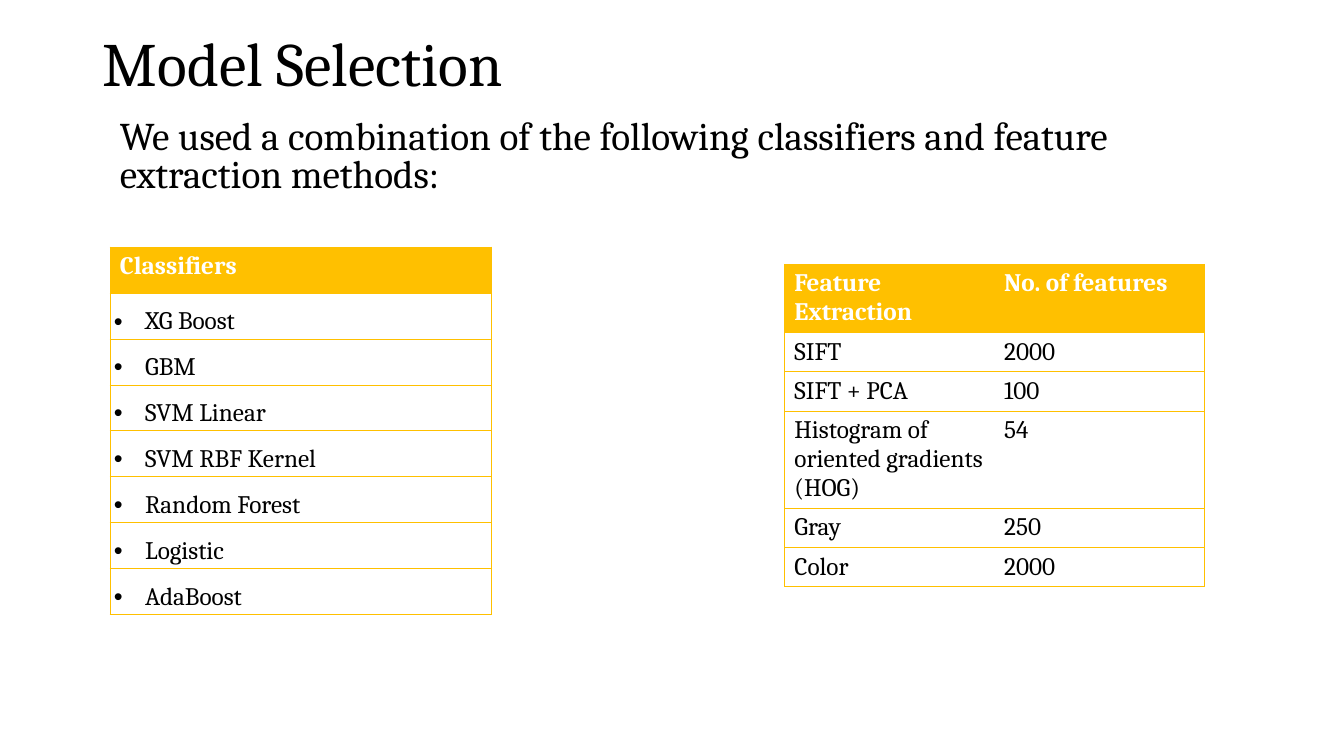
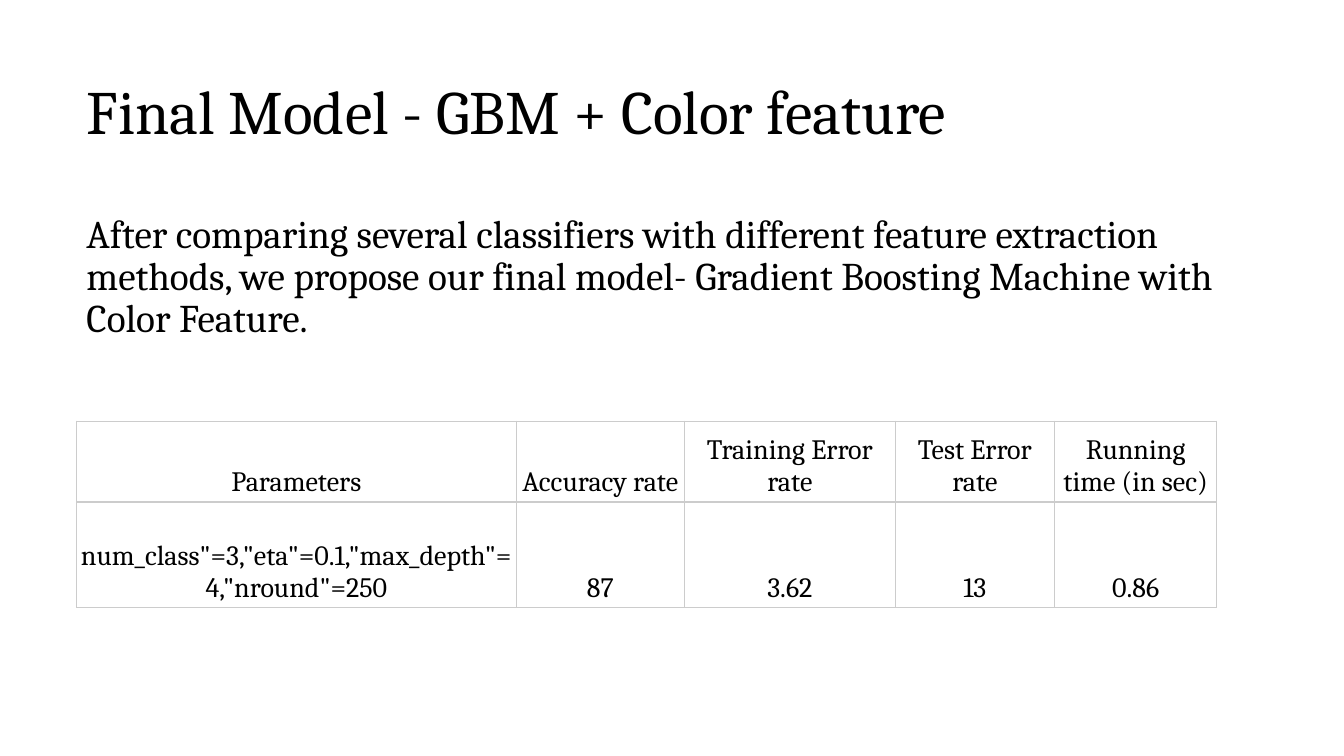
from lxml.etree import SubElement
from pptx import Presentation
from pptx.dml.color import RGBColor
from pptx.enum.text import MSO_ANCHOR, MSO_AUTO_SIZE, PP_ALIGN
from pptx.oxml.ns import qn
from pptx.util import Inches, Pt

COLORS = {"ink": "000000", "white": "FFFFFF", "gold": "FFC000", "grid": "CCCCCC"}
FONT = "Cambria"
SIDES = "LRTB"


class DeckBuilder:
    """Holds the shared style and the page being filled."""

    def __init__(self):
        self.deck = Presentation()
        self.deck.slide_width = Inches(13.33)
        self.deck.slide_height = Inches(7.5)
        self.page = None

    def color(self, name):
        return RGBColor.from_string(COLORS[name])

    def style(self, para, size, color="ink", bold=False, align=PP_ALIGN.LEFT):
        para.alignment = align
        para.font.name = FONT
        para.font.size = Pt(size)
        para.font.bold = bold
        para.font.color.rgb = self.color(color)

    def fill_frame(self, frame, text, size, anchor, spacing):
        frame.word_wrap = True
        frame.auto_size = MSO_AUTO_SIZE.NONE
        frame.vertical_anchor = anchor
        frame.text = text
        para = frame.paragraphs[0]
        para.line_spacing = spacing
        self.style(para, size)

    def add_page(self, title, left, top, width, height):
        self.page = self.deck.slides.add_slide(self.deck.slide_layouts[5])
        box = self.page.shapes.title
        box.left, box.top = Inches(left), Inches(top)
        box.width, box.height = Inches(width), Inches(height)
        self.fill_frame(box.text_frame, title, 44, MSO_ANCHOR.MIDDLE, 0.9)

    def add_text(self, text, left, top, width, height,
                 anchor=MSO_ANCHOR.TOP, spacing=0.9):
        box = self.page.shapes.add_textbox(
            Inches(left), Inches(top), Inches(width), Inches(height))
        self.fill_frame(box.text_frame, text, 28, anchor, spacing)

    def add_table(self, rows, left, top, widths, heights, size, line, line_width,
                  header=None, tight_from=None, bullets=False,
                  align=PP_ALIGN.LEFT, column_lines=True):
        """Rows from tight_from on have small margins and bottom-anchored text."""
        frame = self.page.shapes.add_table(
            len(rows), len(widths), Inches(left), Inches(top),
            Inches(sum(widths)), Inches(sum(heights)))
        table = frame.table
        table.first_row = table.horz_banding = False
        for column, width in zip(table.columns, widths):
            column.width = Inches(width)
        for row, height in zip(table.rows, heights):
            row.height = Inches(height)

        for r, texts in enumerate(rows):
            is_header = header is not None and r == 0
            for c, text in enumerate(texts):
                cell = table.cell(r, c)
                cell.text = text
                para = cell.text_frame.paragraphs[0]
                self.style(para, size, "white" if is_header else "ink",
                           is_header, align)
                if tight_from is not None and r >= tight_from:
                    cell.vertical_anchor = MSO_ANCHOR.BOTTOM
                    cell.margin_left = cell.margin_right = Inches(0.04)
                    cell.margin_top = cell.margin_bottom = Inches(0.03)
                if bullets and not is_header:
                    self.add_bullet(para)
                # Inner column lines can be left out
                hidden = set()
                if not column_lines:
                    hidden |= {"L"} if c > 0 else set()
                    hidden |= {"R"} if c < len(texts) - 1 else set()
                self.add_borders(cell, line, line_width, hidden)
                if is_header:
                    cell.fill.solid()
                    cell.fill.fore_color.rgb = self.color(header)
                else:
                    cell.fill.background()

    def add_borders(self, cell, color, width, hidden):
        properties = cell._tc.get_or_add_tcPr()
        for side in SIDES:
            border = SubElement(properties, qn(f"a:ln{side}"), w=str(Pt(width)))
            if side in hidden:
                SubElement(border, qn("a:noFill"))
            else:
                paint = SubElement(border, qn("a:solidFill"))
                SubElement(paint, qn("a:srgbClr"), val=COLORS[color])

    def add_bullet(self, para):
        properties = para._p.get_or_add_pPr()
        properties.set("marL", str(Inches(0.31)))
        properties.set("indent", str(-Inches(0.31)))
        # Bullet marks precede the default run properties
        bullet_font = properties.makeelement(qn("a:buFont"), {"typeface": "Arial"})
        bullet = properties.makeelement(qn("a:buChar"), {"char": "•"})
        properties.insert(0, bullet_font)
        properties.insert(1, bullet)


def build_selection(builder):
    builder.add_page("Model Selection", 0.92, 0.4, 7.55, 0.53)
    builder.add_text("We used a combination of the following classifiers and "
                     "feature extraction methods:",
                     1.09, 1.15, 11.5, 0.9, spacing=0.8)

    # Classifier list
    classifiers = ["Classifiers", "XG Boost", "GBM", "SVM Linear",
                   "SVM RBF Kernel", "Random Forest", "Logistic", "AdaBoost"]
    builder.add_table([[name] for name in classifiers], 1.09, 2.45,
                      [3.78], [0.456] * len(classifiers), 18, "gold", 0.5,
                      header="gold", tight_from=1, bullets=True)

    # Feature counts
    features = [
        ["Feature Extraction", "No. of features"],
        ["SIFT", "2000"],
        ["SIFT + PCA", "100"],
        ["Histogram of oriented gradients (HOG)", "54"],
        ["Gray", "250"],
        ["Color", "2000"],
    ]
    builder.add_table(features, 7.78, 2.62, [2.08, 2.08],
                      [0.61, 0.35, 0.35, 0.87, 0.35, 0.35], 18, "gold", 0.5,
                      header="gold", column_lines=False)


def build_final_model(builder):
    builder.add_page("Final Model - GBM + Color feature", 0.76, 0.41, 11.5, 1.45)

    # Results of the chosen model
    results = [
        ["Parameters", "Accuracy rate", "Training Error rate",
         "Test Error rate", "Running time (in sec)"],
        ['num_class"=3,"eta"=0.1,"max_depth"=4,"nround"=250',
         "87", "3.62", "13", "0.86"],
    ]
    builder.add_table(results, 0.76, 4.18, [4.36, 1.67, 2.09, 1.58, 1.61],
                      [0.8, 1.05], 20, "grid", 1, tight_from=0,
                      align=PP_ALIGN.CENTER)
    builder.add_text("After comparing several classifiers with different feature "
                     "extraction methods, we propose our final model- Gradient "
                     "Boosting Machine with Color Feature.",
                     0.76, 2.03, 11.5, 1.45, anchor=MSO_ANCHOR.MIDDLE)


def main():
    builder = DeckBuilder()
    build_selection(builder)
    build_final_model(builder)
    builder.deck.save("out.pptx")


if __name__ == "__main__":
    main()
